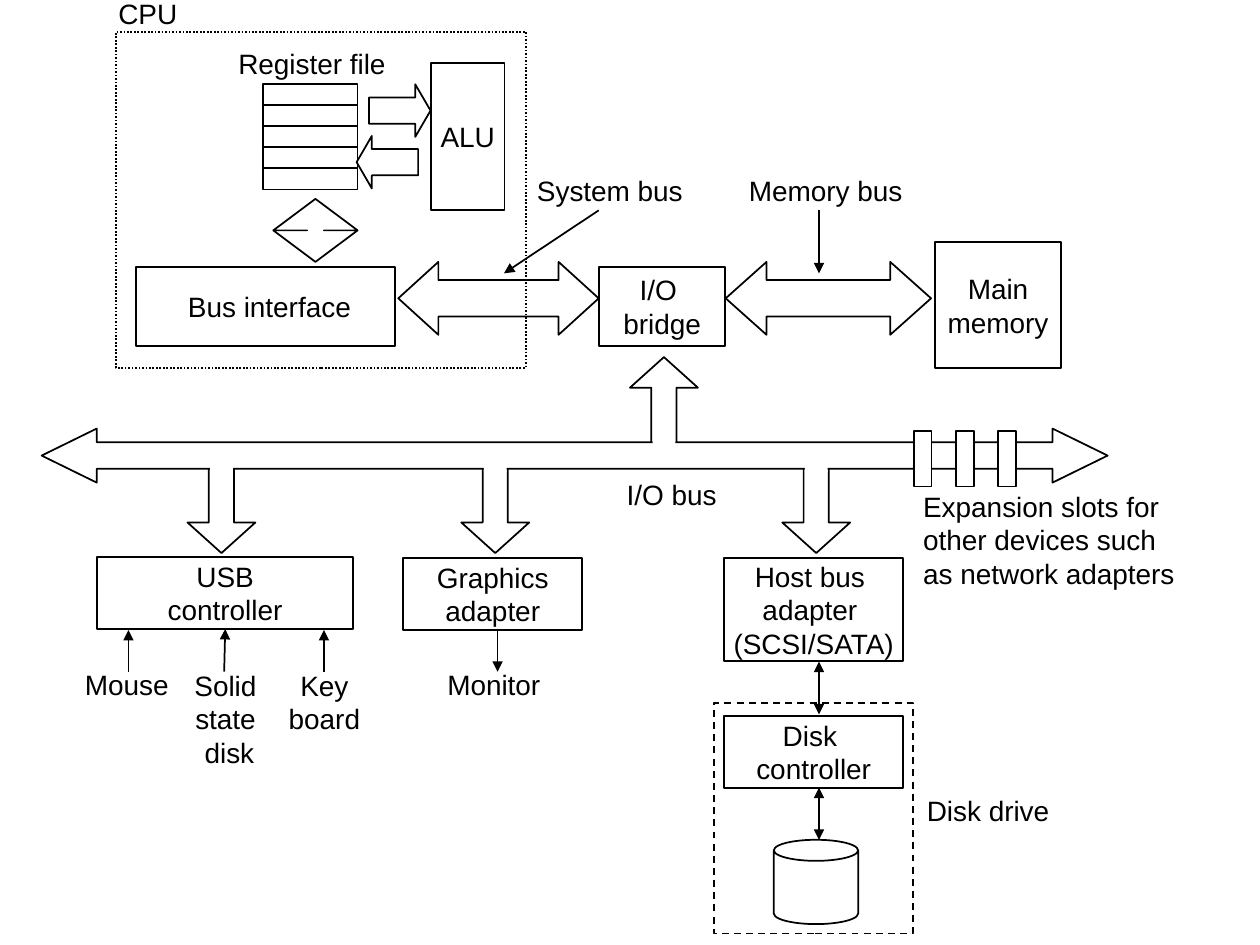
from lxml import etree
from pptx import Presentation, util as u
from pptx.dml.color import RGBColor
from pptx.enum import dml, shapes, text
from pptx.oxml.ns import qn

KIND, DASH, ALIGN = shapes.MSO_SHAPE, dml.MSO_LINE, text.PP_ALIGN
THEME = {"ink": RGBColor(0, 0, 0), "paper": RGBColor(255, 255, 255),
         "font": "Arial", "size": u.Pt(16), "line": u.Pt(1)}

# Content: lengths in cm, as left, top, width, height
FRAMES = [
    ((2.34, 0.64, 8.26, 6.78), DASH.ROUND_DOT),  # CPU
    ((14.4, 14.17, 4.01, 4.65), DASH.DASH),      # disk drive
]
BOXES = [
    ("ALU", (8.69, 1.27, 1.48, 2.96)),
    (" Bus interface", (2.75, 5.38, 5.21, 1.6)),
    ("I/O \nbridge", (12.08, 5.38, 2.54, 1.6)),
    ("Main\nmemory", (18.85, 4.88, 2.54, 2.54)),
    ("USB\ncontroller", (1.96, 11.23, 5.16, 1.45)),
    ("Graphics\nadapter", (8.13, 11.25, 3.61, 1.45)),
    ("Host bus \nadapter \n(SCSI/SATA)", (14.6, 11.25, 3.61, 2.08)),
    ("Disk \ncontroller", (14.6, 14.43, 3.61, 1.45)),
]
BLOCK_ARROWS = [
    (KIND.RIGHT_ARROW, (7.44, 1.7, 1.24, 1.06), (0.5, 0.29)),
    (KIND.LEFT_ARROW, (7.19, 2.74, 1.24, 1.06), (0.5, 0.29)),
    (KIND.UP_DOWN_ARROW, (5.51, 4.01, 1.7, 1.27), (0.5, 0.2)),
    (KIND.LEFT_RIGHT_ARROW, (8.03, 5.28, 4.04, 1.47), (0.5, 0.55)),
    (KIND.LEFT_RIGHT_ARROW, (14.63, 5.28, 4.14, 1.47), (0.5, 0.56)),
]
# Branches of the I/O bus: kind, left, top, top of the joint with the bus
BRANCHES = [
    (KIND.UP_ARROW, 12.7, 7.2, 8.89),
    (KIND.DOWN_ARROW, 3.78, 9.25, 9.09),
    (KIND.DOWN_ARROW, 9.3, 9.25, 9.09),
    (KIND.DOWN_ARROW, 15.77, 9.25, 9.09),
]
BRANCH_W, BRANCH_H, JOINT_W, JOINT_H = 1.37, 1.9, 0.46, 0.42
IO_BUS = (0.84, 8.64, 21.49, 1.09)
REGISTERS, REGISTER_COUNT = (5.31, 1.7, 1.9, 2.12), 5
SLOT, SLOT_PITCH, SLOT_COUNT = (18.42, 8.69, 0.36, 1.12), 0.85, 3
DISK = (15.6, 16.93, 1.7, 1.7)
# Labels: text, left, top, width, alignment
LABELS = [
    ("CPU", 2.13, -0.2, 1.7, ALIGN.CENTER),
    ("Register file", 4.55, 0.81, 3.48, ALIGN.CENTER),
    ("System bus", 10.57, 3.38, 3.45, ALIGN.CENTER),
    ("Memory bus", 14.83, 3.38, 3.63, ALIGN.CENTER),
    ("I/O bus", 12.37, 9.5, 2.34, ALIGN.CENTER),
    ("Expansion slots for\nother devices such\nas network adapters", 18.36, 9.73, 5.59, ALIGN.LEFT),
    ("Mouse", 1.45, 13.34, 2.21, ALIGN.CENTER),
    ("Solid \nstate \ndisk", 3.66, 13.34, 1.93, ALIGN.CENTER),
    ("Key\nboard", 5.56, 13.34, 1.96, ALIGN.CENTER),
    ("Monitor", 8.76, 13.34, 2.39, ALIGN.CENTER),
    ("Disk drive", 18.42, 15.88, 3.0, ALIGN.CENTER),
]
LINE_H, LABEL_PAD = 0.68, 0.25
# Pointers: from x, y, to x, y, heads at both ends, box joined below
POINTERS = [
    (12.07, 4.24, 10.16, 5.51, False, None),
    (16.51, 4.24, 16.51, 5.51, False, None),
    (2.59, 13.54, 2.59, 12.7, False, None),
    (4.52, 13.54, 4.52, 12.7, False, "USB\ncontroller"),
    (6.53, 13.54, 6.53, 12.7, False, None),
    (10.03, 12.7, 10.03, 13.54, False, None),
    (16.51, 13.34, 16.51, 14.4, True, None),
    (16.51, 15.88, 16.51, 16.93, True, None),
]

prs = Presentation()
prs.slide_width, prs.slide_height = u.Cm(25.4), u.Cm(19.05)
s = prs.slides.add_slide(prs.slide_layouts[6])


def cm(values):
    return [u.Cm(v) for v in values]


def write(sp, words, align):
    tf = sp.text_frame
    tf.word_wrap = False
    tf.vertical_anchor = text.MSO_ANCHOR.MIDDLE
    tf.text = words
    for p in tf.paragraphs:
        p.alignment = align
        for r in p.runs:
            r.font.name, r.font.size = THEME["font"], THEME["size"]
            r.font.color.rgb = THEME["ink"]


def draw(kind, at, adj=(), filled=False, outlined=True, dash=None):
    sp = s.shapes.add_shape(kind, *cm(at))
    sp.shadow.inherit = False
    for i, value in enumerate(adj):
        sp.adjustments[i] = value
    if filled:
        sp.fill.solid()
        sp.fill.fore_color.rgb = THEME["paper"]
    else:
        sp.fill.background()
    if outlined:
        sp.line.color.rgb, sp.line.width = THEME["ink"], THEME["line"]
        if dash:
            sp.line.dash_style = dash
    else:
        sp.line.fill.background()
    return sp


# Frames, boxes and block arrows
for at, dash in FRAMES:
    draw(KIND.RECTANGLE, at, dash=dash)
boxes = {}
for words, at in BOXES:
    boxes[words] = draw(KIND.RECTANGLE, at)
    write(boxes[words], words, ALIGN.CENTER)
for kind, at, adj in BLOCK_ARROWS:
    draw(kind, at, adj)

# Register file
x, y, w, h = REGISTERS
row_h = h / REGISTER_COUNT
for i in range(REGISTER_COUNT):
    draw(KIND.RECTANGLE, (x, y + i * row_h, w, row_h))

# I/O bus with its branches, joints and expansion slots
for kind, x, y, _ in BRANCHES:
    draw(kind, (x, y, BRANCH_W, BRANCH_H), (0.37, 0.45))
draw(KIND.LEFT_RIGHT_ARROW, IO_BUS, (0.49, 1.02), filled=True)
for _, x, _, joint_y in BRANCHES:
    draw(KIND.RECTANGLE, (x + (BRANCH_W - JOINT_W) / 2, joint_y, JOINT_W, JOINT_H),
         filled=True, outlined=False)
x, y, w, h = SLOT
for i in range(SLOT_COUNT):
    draw(KIND.RECTANGLE, (x + i * SLOT_PITCH, y, w, h), filled=True)

# Disk
draw(KIND.CAN, DISK, (0.25,))

# Labels
for words, x, y, w, align in LABELS:
    h = LABEL_PAD + LINE_H * len(words.split("\n"))
    write(s.shapes.add_textbox(*cm((x, y, w, h))), words, align)

# Pointers
for *ends, both, target in POINTERS:
    c = s.shapes.add_connector(shapes.MSO_CONNECTOR.STRAIGHT, *cm(ends))
    c.line.color.rgb, c.line.width = THEME["ink"], THEME["line"]
    if target:
        c.end_connect(boxes[target], 2)
    ln = c.line._get_or_add_ln()
    for tag in ("a:headEnd", "a:tailEnd") if both else ("a:tailEnd",):
        etree.SubElement(ln, qn(tag), type="triangle")
    etree.SubElement(c._element.spPr, qn("a:effectLst"))

prs.save("out.pptx")
